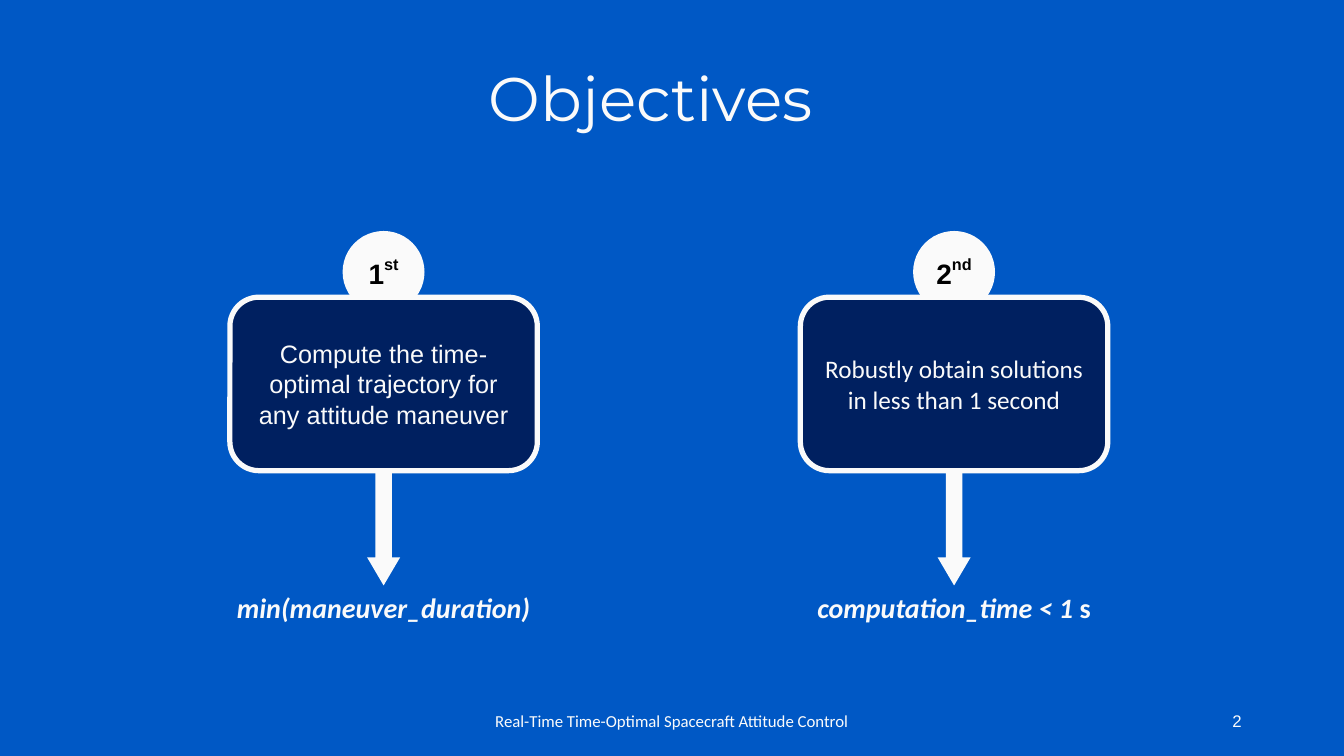
from pptx import Presentation
from pptx.dml.color import RGBColor
from pptx.enum.shapes import MSO_SHAPE
from pptx.enum.text import MSO_ANCHOR, MSO_AUTO_SIZE, PP_ALIGN
from pptx.util import Pt

# Content: each text is a list of (words, format changes) spans
TITLE = "Objectives"
FOOTER = "Real-Time Time-Optimal Spacecraft Attitude Control"
PAGE_NUMBER = "2"
OBJECTIVES = [
    {
        "center": 274,
        "rank": ("1", "st"),
        "goal": "Compute the time-optimal trajectory for any attitude maneuver",
        "goal_font": "Arial",
        "metric": [("min(maneuver_duration)", True)],
    },
    {
        "center": 681.5,
        "rank": ("2", "nd"),
        "goal": "Robustly obtain solutions in less than 1 second",
        "goal_font": "Calibri",
        "metric": [("computation_time < 1 ", True), ("s", False)],
    },
]

# Style
BLUE = RGBColor(0x00, 0x58, 0xC5)
NAVY = RGBColor(0x00, 0x20, 0x60)
WHITE = RGBColor(0xFA, 0xFA, 0xFA)
FOOTER_WHITE = RGBColor(0xFB, 0xFB, 0xFB)
BLACK = RGBColor(0x00, 0x00, 0x00)
CENTER, RIGHT = PP_ALIGN.CENTER, PP_ALIGN.RIGHT
MIDDLE, TOP = MSO_ANCHOR.MIDDLE, MSO_ANCHOR.TOP
OVAL, CARD = MSO_SHAPE.OVAL, MSO_SHAPE.ROUNDED_RECTANGLE
ARROW = MSO_SHAPE.DOWN_ARROW

# Layout, in points
CIRCLE_SIZE, CIRCLE_TOP = 58.5, 165
CARD_WIDTH, CARD_HEIGHT, CARD_TOP = 219.6, 123.9, 212.3
ARROW_WIDTH, ARROW_HEIGHT = 23.6, 82
METRIC_WIDTH, METRIC_HEIGHT = 248, 31.5
FOOTER_TOP, FOOTER_HEIGHT = 500.5, 28.8


def write(box, words, font, size, color, align=CENTER, anchor=MIDDLE, bold=False):
    """Fill a box with one paragraph of equally formatted spans."""
    frame = box.text_frame
    frame.word_wrap = True
    frame.vertical_anchor = anchor
    para = frame.paragraphs[0]
    para.alignment = align
    for word in words:
        span = para.add_run()
        span.text = word
        span.font.name = font
        span.font.size = Pt(size)
        span.font.bold = bold
        span.font.color.rgb = color
    return para


def add_shape(page, kind, center, top, width, height, fill):
    shape = page.shapes.add_shape(
        kind, Pt(center - width / 2), Pt(top), Pt(width), Pt(height))
    shape.shadow.inherit = False
    shape.fill.solid()
    shape.fill.fore_color.rgb = fill
    shape.line.fill.background()
    return shape


def add_text_box(page, left, top, width, height):
    return page.shapes.add_textbox(Pt(left), Pt(top), Pt(width), Pt(height))


def add_objective(page, objective):
    center = objective["center"]

    # Rank circle, partly behind the card
    circle = add_shape(page, OVAL, center, CIRCLE_TOP, CIRCLE_SIZE, CIRCLE_SIZE, WHITE)
    frame = circle.text_frame
    frame.margin_left = frame.margin_right = frame.margin_top = frame.margin_bottom = 0
    para = write(circle, objective["rank"], "Arial", 20, BLACK, bold=True)
    para.runs[1].font._element.set("baseline", "50000")

    # Goal card
    card = add_shape(page, CARD, center, CARD_TOP, CARD_WIDTH, CARD_HEIGHT, NAVY)
    card.line.color.rgb = WHITE
    card.line.width = Pt(3.75)
    write(card, [objective["goal"]], objective["goal_font"], 18, WHITE)

    # Arrow down to the metric
    arrow_top = CARD_TOP + CARD_HEIGHT
    arrow = add_shape(page, ARROW, center, arrow_top, ARROW_WIDTH, ARROW_HEIGHT, WHITE)
    arrow.adjustments[0] = 0.5
    arrow.adjustments[1] = 0.85

    # Metric
    metric = add_text_box(page, center - METRIC_WIDTH / 2, arrow_top + ARROW_HEIGHT,
                          METRIC_WIDTH, METRIC_HEIGHT)
    words = [word for word, _ in objective["metric"]]
    para = write(metric, words, "Calibri", 20, WHITE, anchor=TOP, bold=True)
    for span, (_, italic) in zip(para.runs, objective["metric"]):
        span.font.italic = italic
    metric.text_frame.word_wrap = False
    metric.text_frame.auto_size = MSO_AUTO_SIZE.SHAPE_TO_FIT_TEXT


def main():
    deck = Presentation()
    deck.slide_width, deck.slide_height = Pt(960), Pt(540)
    page = deck.slides.add_slide(deck.slide_layouts[5])
    page.background.fill.solid()
    page.background.fill.fore_color.rgb = BLUE

    # Title
    title = page.shapes.title
    title.left, title.top, title.width, title.height = Pt(51), Pt(20), Pt(828), Pt(104.4)
    write(title, [TITLE], "Montserrat", 44, WHITE).line_spacing = 0.9

    for objective in OBJECTIVES:
        add_objective(page, objective)

    # Page number and footer
    number = add_text_box(page, 678, FOOTER_TOP, 216, FOOTER_HEIGHT)
    write(number, [PAGE_NUMBER], "Arial", 12, FOOTER_WHITE, align=RIGHT)
    footer = add_text_box(page, 318, FOOTER_TOP, 324, FOOTER_HEIGHT)
    write(footer, [FOOTER], "Calibri", 12, FOOTER_WHITE)

    deck.save("out.pptx")


if __name__ == "__main__":
    main()
